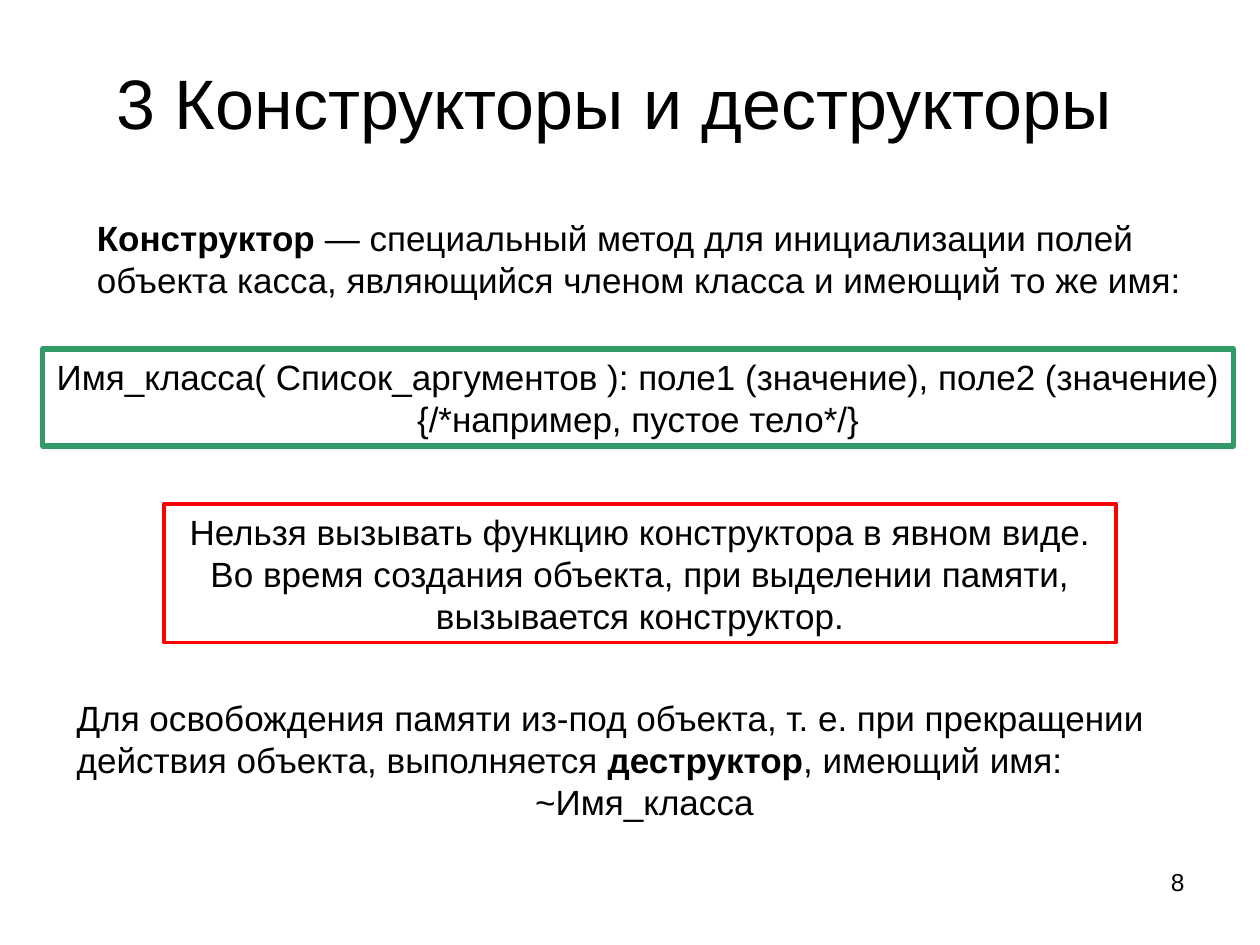
from pptx import Presentation
from pptx.dml.color import RGBColor
from pptx.enum import shapes, text
from pptx.util import Pt

COLORS = {"text": "000000", "syntax": "339966", "warning": "FF0000"}
FONT = "Arial"
LEFT, CENTER, RIGHT = text.PP_ALIGN.LEFT, text.PP_ALIGN.CENTER, text.PP_ALIGN.RIGHT
MIDDLE, TOP = text.MSO_ANCHOR.MIDDLE, text.MSO_ANCHOR.TOP

# Content: each paragraph is (alignment, [(text, bold), ...]); boxes are in points
BLOCKS = [
    {"box": (36, 21.6, 630, 72.72), "size": 40, "paragraphs": [
        (CENTER, [("3 Конструкторы и деструкторы", False)])]},
    {"box": (48.24, 120.24, 652.32, 55.44), "paragraphs": [
        (LEFT, [("Конструктор ", True),
                ("— специальный метод для инициализации полей объекта касса, "
                 "являющийся членом класса и имеющий то же имя:", False)])]},
    {"box": (24.48, 199.44, 680.4, 55.44), "outline": ("syntax", 3), "wrap": False,
     "paragraphs": [
        (CENTER, [("Имя_класса( Список_аргументов ): поле1 (значение), "
                   "поле2 (значение)", False)]),
        (CENTER, [("{/*например, пустое тело*/}", False)])]},
    {"box": (93.6, 288, 544.32, 79.2), "outline": ("warning", 2.25), "paragraphs": [
        (CENTER, [("Нельзя вызывать функцию конструктора в явном виде.", False)]),
        (CENTER, [("Во время создания объекта, при выделении памяти, "
                   "вызывается конструктор.", False)])]},
    {"box": (36.72, 394.56, 663.12, 79.2), "paragraphs": [
        (LEFT, [("Для освобождения памяти из-под объекта, т. е. при прекращении "
                 "действия объекта, выполняется ", False),
                ("деструктор", True), (", имеющий имя:", False)]),
        (CENTER, [("~Имя_класса", False)])]},
    {"box": (516.24, 491.76, 167.76, 37.44), "size": 14, "anchor": TOP, "paragraphs": [
        (RIGHT, [("8", False)])]},
]


def color(name):
    return RGBColor.from_string(COLORS[name])


def add_block(slide, block):
    box = [Pt(value) for value in block["box"]]
    # Outlined rectangle or plain text box
    if "outline" in block:
        name, width = block["outline"]
        shape = slide.shapes.add_shape(shapes.MSO_SHAPE.RECTANGLE, *box)
        shape.shadow.inherit = False
        shape.fill.background()
        shape.line.color.rgb = color(name)
        shape.line.width = Pt(width)
    else:
        shape = slide.shapes.add_textbox(*box)

    frame = shape.text_frame
    frame.word_wrap = block.get("wrap", True)
    frame.vertical_anchor = block.get("anchor", MIDDLE)

    # Text, run by run
    for index, (alignment, runs) in enumerate(block["paragraphs"]):
        paragraph = frame.add_paragraph() if index else frame.paragraphs[0]
        paragraph.alignment = alignment
        for words, bold in runs:
            run = paragraph.add_run()
            run.text = words
            run.font.name = FONT
            run.font.size = Pt(block.get("size", 20))
            run.font.bold = bold
            run.font.color.rgb = color("text")


def main():
    presentation = Presentation()
    presentation.slide_width, presentation.slide_height = Pt(720), Pt(540)
    slide = presentation.slides.add_slide(presentation.slide_layouts[6])
    for block in BLOCKS:
        add_block(slide, block)
    presentation.save("out.pptx")


if __name__ == "__main__":
    main()
